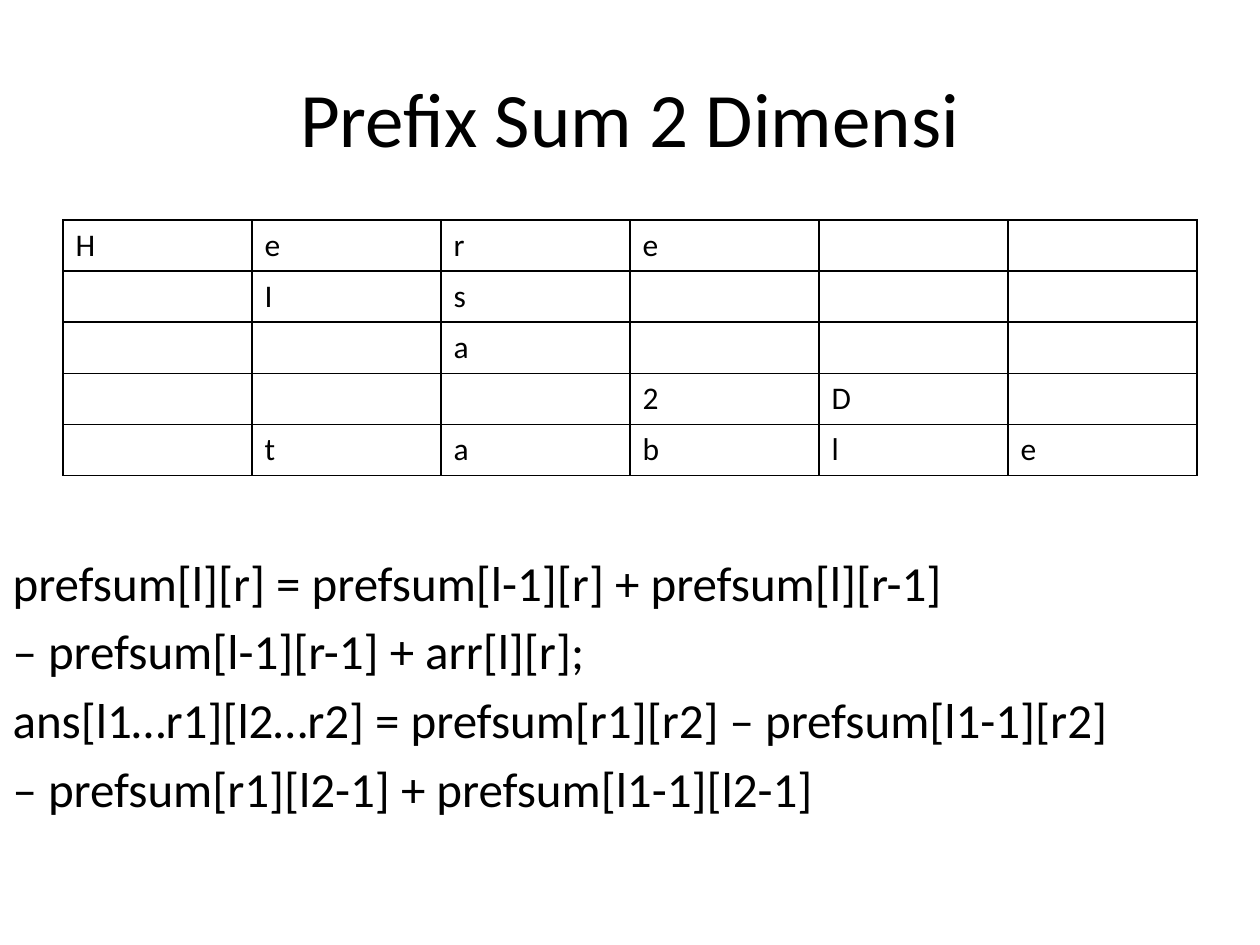
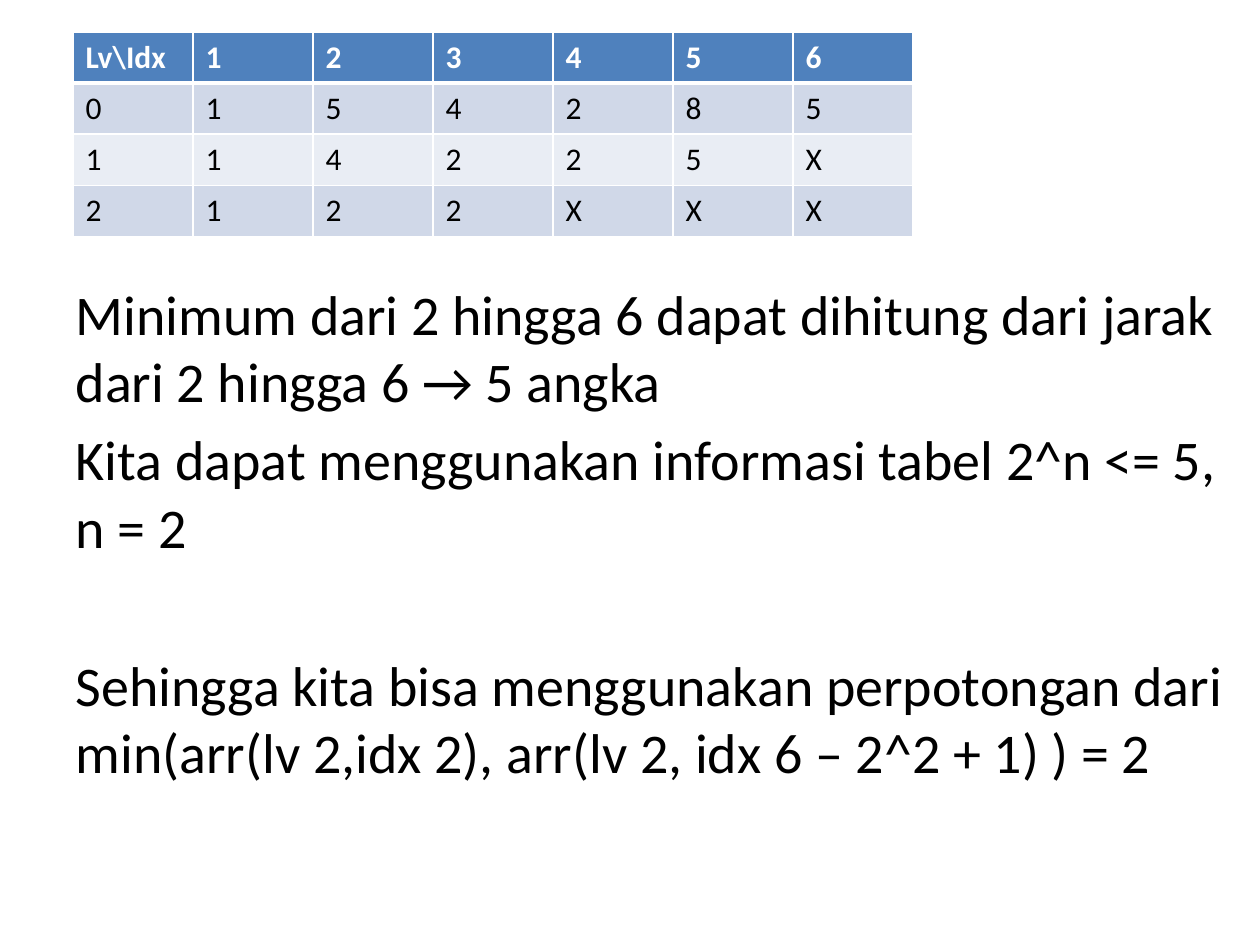
from dataclasses import dataclass
from typing import Optional

from lxml.etree import SubElement
from pptx import Presentation
from pptx.dml.color import RGBColor
from pptx.enum.text import MSO_ANCHOR, PP_ALIGN
from pptx.oxml.ns import qn
from pptx.util import Emu, Pt

EMU_PER_PIXEL = 914400 / 126
FONT = "Calibri"
BLACK, WHITE = "000000", "FFFFFF"
HEADER_BLUE = "4F81BD"
BAND_COLORS = ("D0D8E8", "E9EDF4")
TABLE_TEXT_SIZE = 18
ROW_HEIGHT = 51


@dataclass
class Area:
    left: int
    top: int
    width: int
    height: int


@dataclass
class Grid:
    left: int
    top: int
    column_width: int
    rows: list
    border: str
    header: Optional[str] = None
    bands: tuple = ()


def px(length: int) -> Emu:
    return Emu(round(length * EMU_PER_PIXEL))


def color(code: str) -> RGBColor:
    return RGBColor.from_string(code)


def format_spans(para, size: int, code: str = BLACK, bold: bool = False) -> None:
    for span in para.runs:
        span.font.name = FONT
        span.font.size = Pt(size)
        span.font.bold = bold
        span.font.color.rgb = color(code)


def place(box, area: Area) -> None:
    box.left, box.top = px(area.left), px(area.top)
    box.width, box.height = px(area.width), px(area.height)


def write_title(page, text: str) -> None:
    box = page.shapes.title
    place(box, Area(63, 38, 1134, 157))
    frame = box.text_frame
    frame.text = text
    frame.vertical_anchor = MSO_ANCHOR.MIDDLE
    frame.paragraphs[0].alignment = PP_ALIGN.CENTER
    format_spans(frame.paragraphs[0], 44)


def write_body(page, area: Area, lines: list, size: int) -> list:
    box = page.placeholders[1]
    place(box, area)
    frame = box.text_frame
    frame.word_wrap = True
    frame.text = "\n".join(lines)
    for para in frame.paragraphs:
        format_spans(para, size)
        properties = para._p.get_or_add_pPr()
        properties.set("marL", "0")
        properties.set("indent", "0")
        SubElement(properties, qn("a:buNone"))
    return list(frame.paragraphs)


def set_borders(cell, code: str, bottom_width: int) -> None:
    properties = cell._tc.get_or_add_tcPr()
    widths = {"L": 1, "R": 1, "T": 1, "B": bottom_width}
    for index, (side, width) in enumerate(widths.items()):
        line = SubElement(properties, qn(f"a:ln{side}"), w=str(Pt(width)))
        fill = SubElement(line, qn("a:solidFill"))
        SubElement(fill, qn("a:srgbClr"), val=code)
        properties.insert(index, line)


def draw_grid(page, grid: Grid) -> None:
    row_count, column_count = len(grid.rows), len(grid.rows[0])
    table = page.shapes.add_table(
        row_count, column_count, px(grid.left), px(grid.top),
        px(grid.column_width * column_count), px(ROW_HEIGHT * row_count),
    ).table
    table.first_row = table.horz_banding = False
    for column in table.columns:
        column.width = px(grid.column_width)
    for row_index, values in enumerate(grid.rows):
        table.rows[row_index].height = px(ROW_HEIGHT)
        is_header = grid.header is not None and row_index == 0
        for column_index, value in enumerate(values):
            cell = table.cell(row_index, column_index)
            cell.text = value
            format_spans(cell.text_frame.paragraphs[0], TABLE_TEXT_SIZE,
                         WHITE if is_header else BLACK, is_header)
            if is_header:
                fill = grid.header
            elif grid.bands:
                fill = grid.bands[(row_index - 1) % len(grid.bands)]
            else:
                fill = None
            if fill:
                cell.fill.solid()
                cell.fill.fore_color.rgb = color(fill)
            else:
                cell.fill.background()
            set_borders(cell, grid.border, 3 if is_header else 1)


def build_prefix_sum(deck) -> None:
    page = deck.slides.add_slide(deck.slide_layouts[1])
    write_title(page, "Prefix Sum 2 Dimensi")
    write_body(page, Area(0, 546, 1260, 362), [
        "prefsum[l][r] = prefsum[l-1][r] + prefsum[l][r-1]",
        "– prefsum[l-1][r-1] + arr[l][r];",
        "ans[l1…r1][l2…r2] = prefsum[r1][r2] – prefsum[l1-1][r2]",
        "– prefsum[r1][l2-1] + prefsum[l1-1][l2-1]",
    ], 28)
    draw_grid(page, Grid(63, 220, 189, [
        ["H", "e", "r", "e", "", ""],
        ["", "I", "s", "", "", ""],
        ["", "", "a", "", "", ""],
        ["", "", "", "2", "D", ""],
        ["", "t", "a", "b", "l", "e"],
    ], BLACK))


def build_sparse_table(deck) -> None:
    page = deck.slides.add_slide(deck.slide_layouts[1])
    title = page.shapes.title._element
    title.getparent().remove(title)
    paragraphs = write_body(page, Area(63, 273, 1176, 571), [
        "Minimum dari 2 hingga 6 dapat dihitung dari jarak dari 2 hingga 6 → 5 angka",
        "Kita dapat menggunakan informasi tabel 2^n <= 5, n = 2",
        "Sehingga kita bisa menggunakan perpotongan dari "
        "min(arr(lv 2,idx 2), arr(lv 2, idx 6 – 2^2 + 1) ) = 2",
    ], 32)
    paragraphs[-1].space_before = Pt(52)
    draw_grid(page, Grid(73, 32, 120, [
        ["Lv\\Idx", "1", "2", "3", "4", "5", "6"],
        ["0", "1", "5", "4", "2", "8", "5"],
        ["1", "1", "4", "2", "2", "5", "X"],
        ["2", "1", "2", "2", "X", "X", "X"],
    ], WHITE, HEADER_BLUE, BAND_COLORS))


def main() -> None:
    deck = Presentation()
    deck.slide_width, deck.slide_height = px(1260), px(945)
    build_prefix_sum(deck)
    build_sparse_table(deck)
    deck.save("out.pptx")


main()
